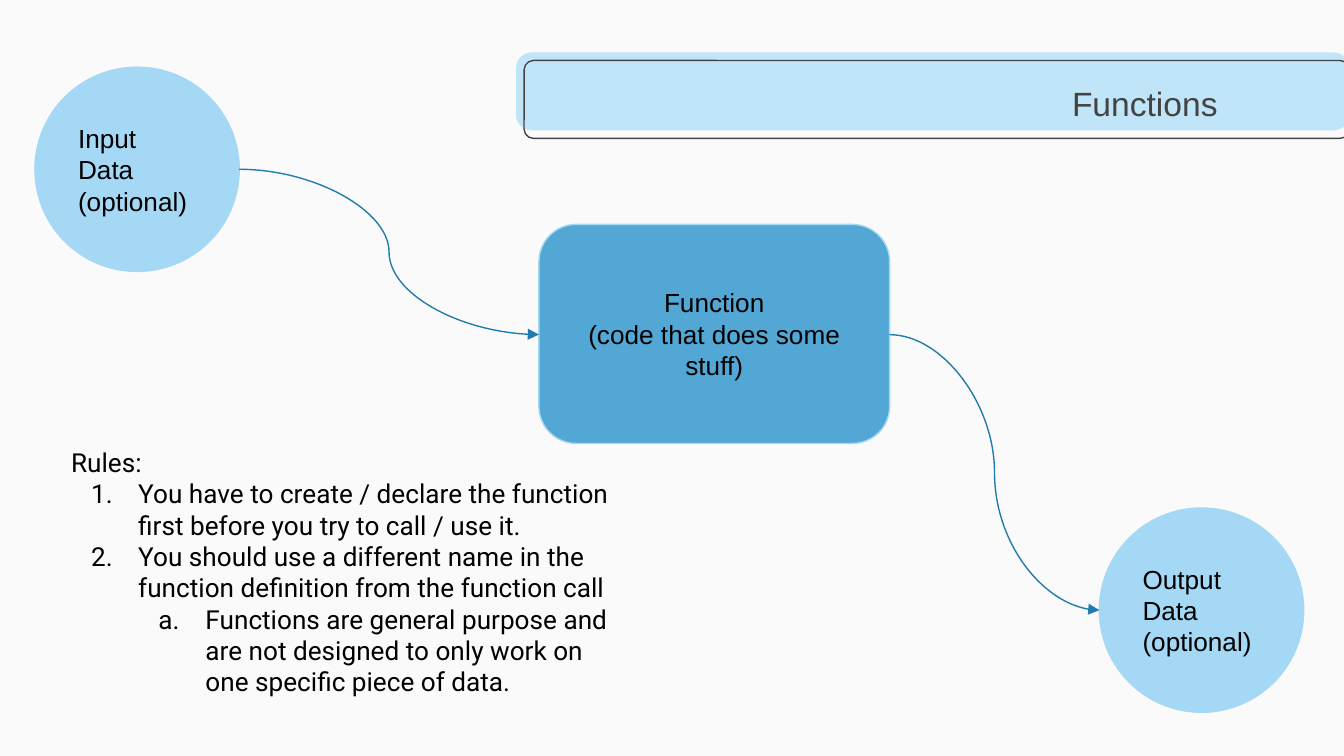
from lxml import etree
from pptx import Presentation
from pptx.dml.color import RGBColor
from pptx.enum.shapes import MSO_CONNECTOR, MSO_SHAPE
from pptx.enum.text import MSO_ANCHOR, PP_ALIGN
from pptx.oxml.ns import qn
from pptx.util import Inches, Pt

ROUND, OVAL = MSO_SHAPE.ROUNDED_RECTANGLE, MSO_SHAPE.OVAL
CURVE = MSO_CONNECTOR.CURVE
LEFT, CENTER, RIGHT = PP_ALIGN.LEFT, PP_ALIGN.CENTER, PP_ALIGN.RIGHT
TOP, MIDDLE = MSO_ANCHOR.TOP, MSO_ANCHOR.MIDDLE
COLORS = {
    "background": "FAFAFA", "banner": "C1E5F8", "dark": "434343",
    "function": "53A7D5", "data": "A4D8F4", "arrow": "217BAC", "text": "000000",
}


def color(name):
    return RGBColor.from_string(COLORS[name])


def write(sp, lines, size=14, font="Arial", ink="text", align=LEFT, anchor=MIDDLE):
    """Fill a shape with one paragraph per line, all in one format."""
    tf = sp.text_frame
    tf.text = "\n".join(lines)
    tf.word_wrap = True
    tf.vertical_anchor = anchor
    tf.margin_left = tf.margin_right = tf.margin_top = tf.margin_bottom = Inches(0.1)
    for p in tf.paragraphs:
        p.alignment = align
        for r in p.runs:
            r.font.size = Pt(size)
            r.font.name = font
            r.font.color.rgb = color(ink)


prs = Presentation()
prs.slide_width = Inches(10)
prs.slide_height = Inches(10 * 9 / 16)
s = prs.slides.add_slide(prs.slide_layouts[5])
s.background.fill.solid()
s.background.fill.fore_color.rgb = color("background")

# Banner, function box and data circles: kind, box, corner, fill, line, lines, align
shapes = [
    (ROUND, (3.84, 0.39, 6.2, 0.58), 0.2, "banner", None, [], LEFT),
    (ROUND, (3.9, 0.45, 6.14, 0.58), 0.12, None, "dark", [], LEFT),
    (ROUND, (4.01, 1.67, 2.61, 1.63), 0.17, "function", "data",
     ["Function", "(code that does some stuff)"], CENTER),
    (OVAL, (0.26, 0.5, 1.52, 1.52), None, "data", "data", ["Input Data (optional)"], LEFT),
    (OVAL, (8.18, 3.78, 1.52, 1.52), None, "data", "data", ["Output Data (optional)"], LEFT),
]
for kind, box, corner, fill, line, lines, align in shapes:
    sp = s.shapes.add_shape(kind, *map(Inches, box))
    sp.shadow.inherit = False
    if corner:
        sp.adjustments[0] = corner
    if fill:
        sp.fill.solid()
        sp.fill.fore_color.rgb = color(fill)
    else:
        sp.fill.background()
    if line:
        sp.line.color.rgb = color(line)
        sp.line.width = Pt(0.75)
    else:
        sp.line.fill.background()
    if lines:
        write(sp, lines, align=align)

# Title, brought in front of the banner
title = s.shapes.title
title.left, title.top, title.width, title.height = map(Inches, (5.67, 0.5, 3.49, 0.53))
write(title, ["Functions"], size=18, ink="dark", align=RIGHT)
s.shapes._spTree.append(title._element)

# Arrows from input to function to output
for ends in [(1.78, 1.26, 4.01, 2.49), (6.62, 2.49, 8.18, 4.54)]:
    arrow = s.shapes.add_connector(CURVE, *map(Inches, ends))
    arrow.line.color.rgb = color("arrow")
    arrow.line.width = Pt(0.75)
    etree.SubElement(arrow.line._get_or_add_ln(), qn("a:tailEnd"), type="triangle")
    etree.SubElement(arrow._element.spPr, qn("a:effectLst"))

# Numbered rules
rules = [
    ("Rules:", 0, None),
    ("You have to create / declare the function first before you try to call / use it.",
     0, "arabicPeriod"),
    ("You should use a different name in the function definition from the function call",
     0, "arabicPeriod"),
    ("Functions are general purpose and are not designed to only work on "
     "one specific piece of data.", 1, "alphaLcPeriod"),
]
sp = s.shapes.add_textbox(*map(Inches, (0.43, 3.22, 4.22, 2.09)))
write(sp, [text for text, level, numbering in rules], font="Roboto", anchor=TOP)
for p, (text, level, numbering) in zip(sp.text_frame.paragraphs, rules):
    if numbering:
        p.level = level
        pPr = p._p.get_or_add_pPr()
        pPr.set("marL", str(Inches(0.5 * (level + 1))))
        pPr.set("indent", str(Inches(-0.35)))
        bullet_color = etree.SubElement(pPr, qn("a:buClr"))
        etree.SubElement(bullet_color, qn("a:srgbClr"), val=COLORS["text"])
        etree.SubElement(pPr, qn("a:buFont"), typeface="Roboto")
        etree.SubElement(pPr, qn("a:buAutoNum"), type=numbering)

prs.save("out.pptx")
